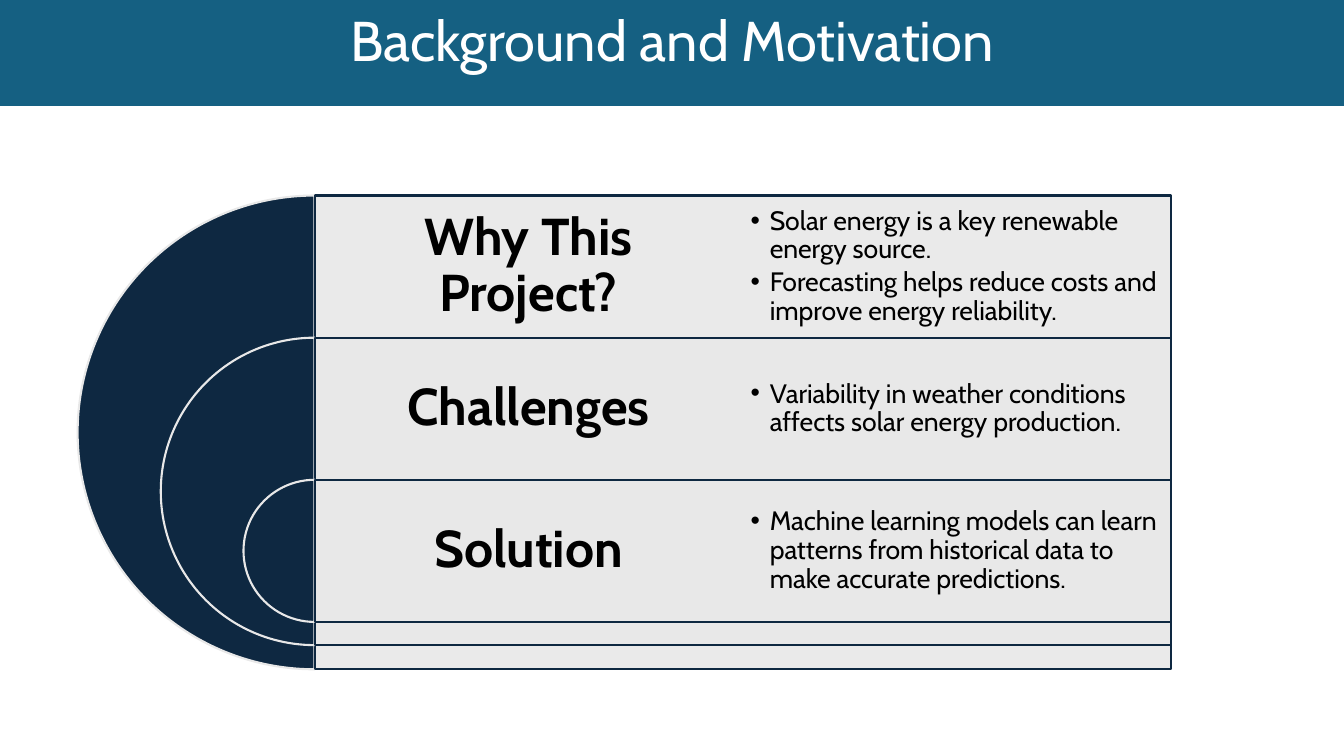
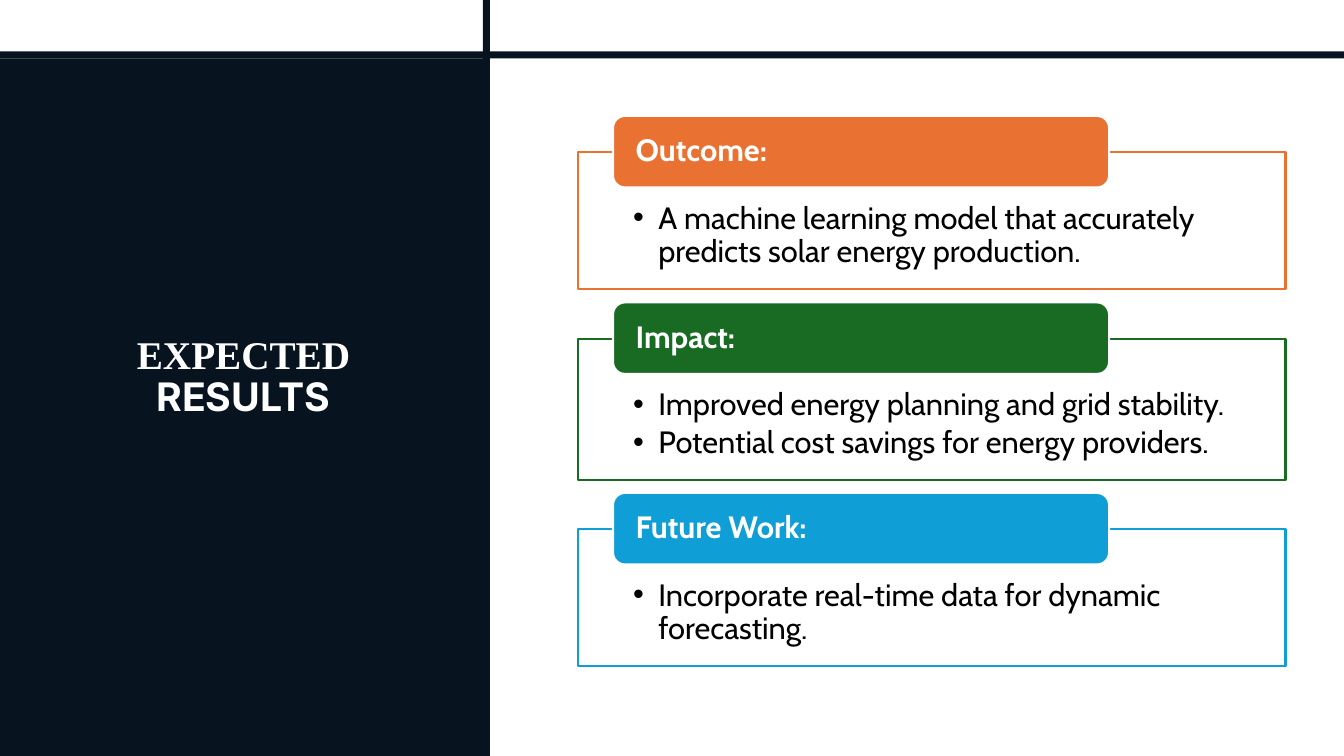
from lxml import etree
from pptx import Presentation
from pptx.dml.color import RGBColor
from pptx.enum.shapes import MSO_SHAPE
from pptx.enum.text import MSO_ANCHOR, PP_ALIGN
from pptx.oxml.ns import qn
from pptx.util import Inches, Pt

RECT, ROUNDED, PIE = MSO_SHAPE.RECTANGLE, MSO_SHAPE.ROUNDED_RECTANGLE, MSO_SHAPE.PIE
TOP, MIDDLE = MSO_ANCHOR.TOP, MSO_ANCHOR.MIDDLE
LEFT, CENTER = PP_ALIGN.LEFT, PP_ALIGN.CENTER

COLORS = {
    "white": "FFFFFF", "black": "000000", "gray": "E8E8E8",
    "teal": "156082", "navy": "0E2841", "midnight": "071420",
    "orange": "E97132", "green": "196B24", "blue": "0F9ED5",
}
BODY_FONT = "Cabin"
SLIDE_W, SLIDE_H = 13.33, 7.5


def add_box(slide, kind, box, fill, line=None, alpha=None):
    """Add a preset shape; box is left, top, width, height in inches, alpha a percentage."""
    shape = slide.shapes.add_shape(kind, *map(Inches, box))
    shape.shadow.inherit = False
    shape.fill.solid()
    shape.fill.fore_color.rgb = RGBColor.from_string(COLORS[fill])
    if alpha:
        color = shape.fill._xPr.find(qn("a:solidFill"))[0]
        etree.SubElement(color, qn("a:alpha")).set("val", str(alpha * 1000))
    if line:
        shape.line.color.rgb = RGBColor.from_string(COLORS[line])
        shape.line.width = Pt(1.5)
    else:
        shape.line.fill.background()
    return shape


def write_text(shape, lines, size, color, bold=False, align=LEFT, anchor=MIDDLE,
               insets=(0.1, 0.05, 0.1, 0.05), bullet=None, font=BODY_FONT):
    """Fill a shape with paragraphs; bullet is the hanging indent in inches."""
    frame = shape.text_frame
    frame.word_wrap = True
    frame.vertical_anchor = anchor
    (frame.margin_left, frame.margin_top,
     frame.margin_right, frame.margin_bottom) = map(Inches, insets)
    frame.text = "\n".join(lines)
    for paragraph in frame.paragraphs:
        paragraph.alignment = align
        paragraph.line_spacing = 0.9
        if bullet:
            paragraph.space_after = Pt(round(size * 0.15, 1))
            properties = paragraph._p.get_or_add_pPr()
            properties.set("marL", str(Inches(bullet)))
            properties.set("indent", str(-Inches(bullet)))
            etree.SubElement(properties, qn("a:buFont")).set("typeface", "Arial")
            etree.SubElement(properties, qn("a:buChar")).set("char", "•")
        for run in paragraph.runs:
            run.font.name = font
            run.font.size = Pt(size)
            run.font.bold = bold
            run.font.color.rgb = RGBColor.from_string(COLORS[color])


prs = Presentation()
prs.slide_width, prs.slide_height = Inches(SLIDE_W), Inches(SLIDE_H)
blank = prs.slide_layouts[6]

# Background and Motivation
slide = prs.slides.add_slide(blank)
title_band = add_box(slide, RECT, (0, -0.18, SLIDE_W, 1.23), "teal")
write_text(title_band, ["Background and Motivation"], 40, "white", align=CENTER)

topics = [
    ("Why This Project?", 4.7,
     ["Solar energy is a key renewable energy source.",
      "Forecasting helps reduce costs and improve energy reliability."]),
    ("Challenges", 3.05,
     ["Variability in weather conditions affects solar energy production."]),
    ("Solution", 1.41,
     ["Machine learning models can learn patterns from historical data "
      "to make accurate predictions."]),
]
BAND_LEFT, BAND_TOP, BAND_W, ROW_H = 3.12, 1.94, 8.49, 1.41
COLUMN_W = BAND_W / 2
for row, (topic, diameter, points) in enumerate(topics):
    top = BAND_TOP + row * ROW_H
    half_disc = add_box(slide, PIE, (BAND_LEFT - diameter / 2, top, diameter, diameter),
                        "navy", "gray")
    half_disc.adjustments[0], half_disc.adjustments[1] = 54, 162
    add_box(slide, RECT, (BAND_LEFT, top, BAND_W, diameter), "gray", "navy", alpha=90)
    heading, details = [
        slide.shapes.add_textbox(*map(Inches, (left, top, COLUMN_W, ROW_H)))
        for left in (BAND_LEFT, BAND_LEFT + COLUMN_W)]
    write_text(heading, [topic], 37, "black", bold=True, align=CENTER, insets=(0.15,) * 4)
    write_text(details, points, 19, "black", insets=(0.08,) * 4, bullet=0.19)

# Expected Results
slide = prs.slides.add_slide(blank)
PANEL_W, PANEL_TOP, RULE = 4.86, 0.58, 0.07
add_box(slide, RECT, (0, PANEL_TOP, PANEL_W, SLIDE_H - PANEL_TOP), "midnight")
title = slide.shapes.add_textbox(*map(Inches, (0.66, 0.84, 3.51, 5.82)))
write_text(title, ["EXPECTED"], 28, "white", bold=True, align=CENTER, font="Times New Roman")
second_word = title.text_frame.paragraphs[0].add_run()
second_word.text = " RESULTS"
second_word.font.name = "Inter"
second_word.font.size = Pt(28)
second_word.font.bold = True
second_word.font.color.rgb = RGBColor.from_string(COLORS["white"])
add_box(slide, RECT, (PANEL_W - RULE, 0, RULE, SLIDE_H), "midnight")
add_box(slide, RECT, (0, PANEL_TOP - RULE, SLIDE_W, RULE), "midnight")

results = [
    ("Outcome:", "orange", 1.36,
     ["A machine learning model that accurately predicts solar energy production."]),
    ("Impact:", "green", 1.4,
     ["Improved energy planning and grid stability.",
      "Potential cost savings for energy providers."]),
    ("Future Work:", "blue", 1.36,
     ["Incorporate real-time data for dynamic forecasting."]),
]
top = 1.51
for label, color, height, points in results:
    frame_box = add_box(slide, RECT, (5.73, top, 7.02, height), "white", color, alpha=90)
    write_text(frame_box, points, 22, "black", anchor=TOP,
               insets=(0.55, 0.5, 0.55, 0.17), bullet=0.25)
    tab = add_box(slide, ROUNDED, (6.08, top - 0.36, 4.92, 0.71), color, "white")
    write_text(tab, [label], 22, "white", bold=True, insets=(0.19, 0, 0.19, 0))
    top += height + 0.49

prs.save("out.pptx")
